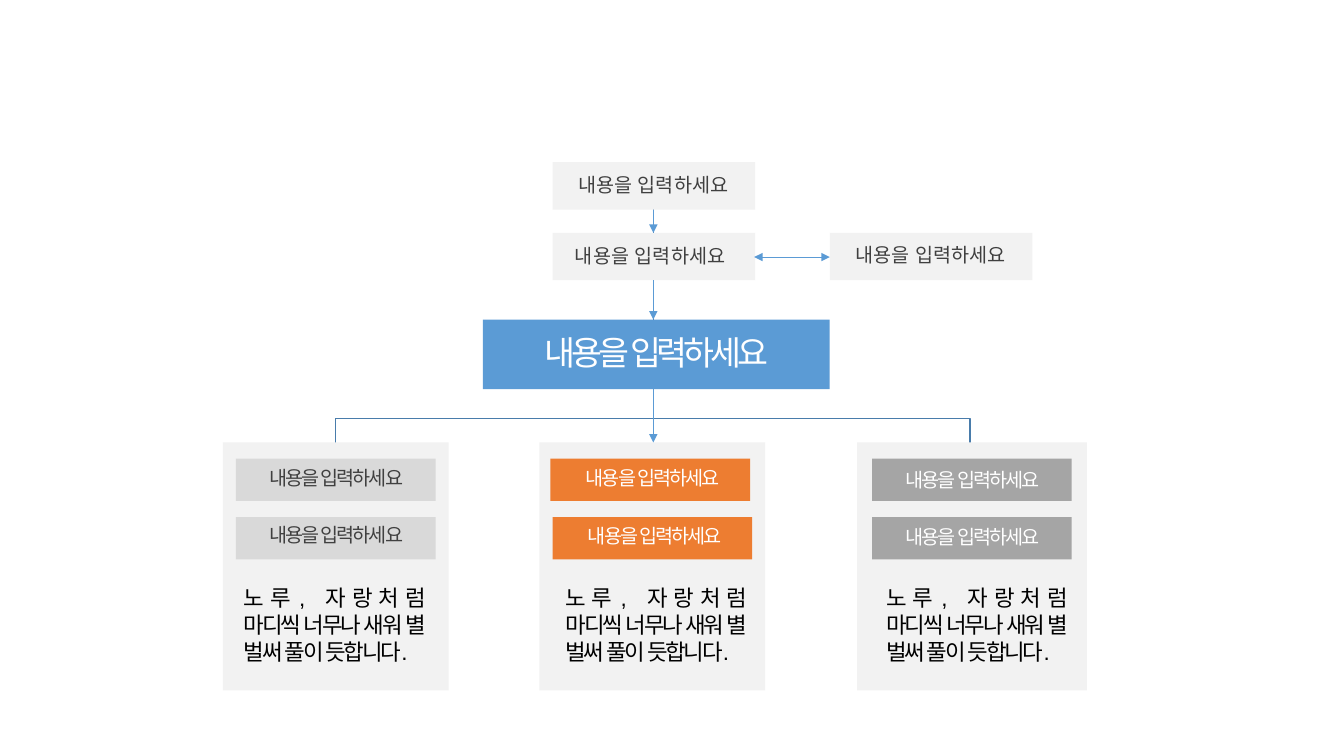
"""Build a slide with a flow chart that branches into three columns."""
from lxml.etree import SubElement
from pptx import Presentation
from pptx.dml.color import RGBColor
from pptx.enum.shapes import MSO_CONNECTOR as CONN, MSO_SHAPE as SHAPE
from pptx.enum.text import MSO_AUTO_SIZE as AUTO, PP_ALIGN as ALIGN
from pptx.oxml.ns import qn
from pptx.util import Pt

PX = 9144
FONT = "Arial"
BLUE, DARK_BLUE, ORANGE = "5B9BD5", "497CAB", "ED7D31"
PALE, LIGHT, GREY = "F2F2F2", "D9D9D9", "A5A5A5"
INK, BLACK, WHITE = "404040", "000000", "FFFFFF"
LABEL = "내용을 입력하세요"
BODY = "노루, 자랑처럼 마디씩 너무나 새워 별 벌써 풀이 듯합니다."
CENTER = 648
BRANCH_ENDS = (962, 333)
STEPS = (
    (548, 161, 556, 167),
    (548, 231, 553, 237),
    (823, 231, 831, 236),
)
ARROWS = (
    (CENTER, 208, CENTER, 231, False),
    (CENTER, 278, CENTER, 317, False),
    (748, 255, 823, 255, True),
    (CENTER, 386, CENTER, 439, False),
)
COLUMNS = (
    (221, 224, LIGHT, INK, 232, ((234, 251, 457), (234, 251, 514))),
    (535, 224, ORANGE, WHITE, 551, ((546, 565, 457), (548, 567, 515))),
    (850, 228, GREY, WHITE, 869, ((865, 882, 459), (865, 882, 516))),
)


def rgb(color):
    return RGBColor.from_string(color)


def add_box(s, x, y, w, h, fill):
    sp = s.shapes.add_shape(SHAPE.RECTANGLE, x * PX, y * PX, w * PX, h * PX)
    sp.shadow.inherit = False
    sp.fill.solid()
    sp.fill.fore_color.rgb = rgb(fill)
    sp.line.fill.background()


def add_text(s, text, x, y, w, h, size=14, color=INK, spacing=0,
             align=ALIGN.CENTER, wrap=False):
    tf = s.shapes.add_textbox(x * PX, y * PX, w * PX, h * PX).text_frame
    tf.word_wrap = wrap
    tf.auto_size = AUTO.SHAPE_TO_FIT_TEXT
    p = tf.paragraphs[0]
    p.alignment = align
    r = p.add_run()
    r.text = text
    r.font.size = Pt(size)
    r.font.name = FONT
    r.font.color.rgb = rgb(color)
    rPr = r._r.get_or_add_rPr()
    rPr.set("spc", str(int(spacing * 100)))
    SubElement(rPr, qn("a:ea"), typeface=FONT)


def add_arrow(s, x1, y1, x2, y2, both_ends):
    cn = s.shapes.add_connector(CONN.STRAIGHT, x1 * PX, y1 * PX, x2 * PX, y2 * PX)
    cn.line.color.rgb = rgb(BLUE)
    cn.line.width = Pt(0.5)
    ln = cn.line._get_or_add_ln()
    if both_ends:
        SubElement(ln, qn("a:headEnd"), type="triangle")
    SubElement(ln, qn("a:tailEnd"), type="triangle")
    SubElement(cn._element.spPr, qn("a:effectLst"))


def add_branch(s, end_x):
    fb = s.shapes.build_freeform(CENTER, 203, scale=PX)
    fb.add_line_segments([(CENTER, 415), (end_x, 415), (end_x, 442)], close=False)
    sp = fb.convert_to_shape()
    sp.shadow.inherit = False
    sp.fill.background()
    sp.line.color.rgb = rgb(DARK_BLUE)
    sp.line.width = Pt(1)


def add_column(s, x, w, fill, ink, body_x, chips):
    for row, (chip_x, label_x, label_y) in enumerate(chips):
        add_box(s, chip_x, 455 + row * 58, 198, 42, fill)
        add_text(s, LABEL, label_x, label_y, 165, 34, color=ink, spacing=-1.5)
    add_text(s, BODY, body_x, 575, 198, 91, size=16, color=BLACK,
             spacing=-1.5, align=ALIGN.JUSTIFY, wrap=True)


def main():
    prs = Presentation()
    prs.slide_width, prs.slide_height = 1333 * PX, 750 * PX
    s = prs.slides.add_slide(prs.slide_layouts[6])
    for end_x in BRANCH_ENDS:
        add_branch(s, end_x)
    for x, w, *_ in COLUMNS:
        add_box(s, x, 439, w, 246, PALE)
    for x, y, label_x, label_y in STEPS:
        add_box(s, x, y, 201, 47, PALE)
        add_text(s, LABEL, label_x, label_y, 184, 34)
    add_box(s, 479, 317, 344, 69, BLUE)
    add_text(s, LABEL, 519, 324, 264, 50, size=24, color=WHITE, spacing=-3)
    for arrow in ARROWS:
        add_arrow(s, *arrow)
    for column in COLUMNS:
        add_column(s, *column)
    prs.save("out.pptx")


if __name__ == "__main__":
    main()
